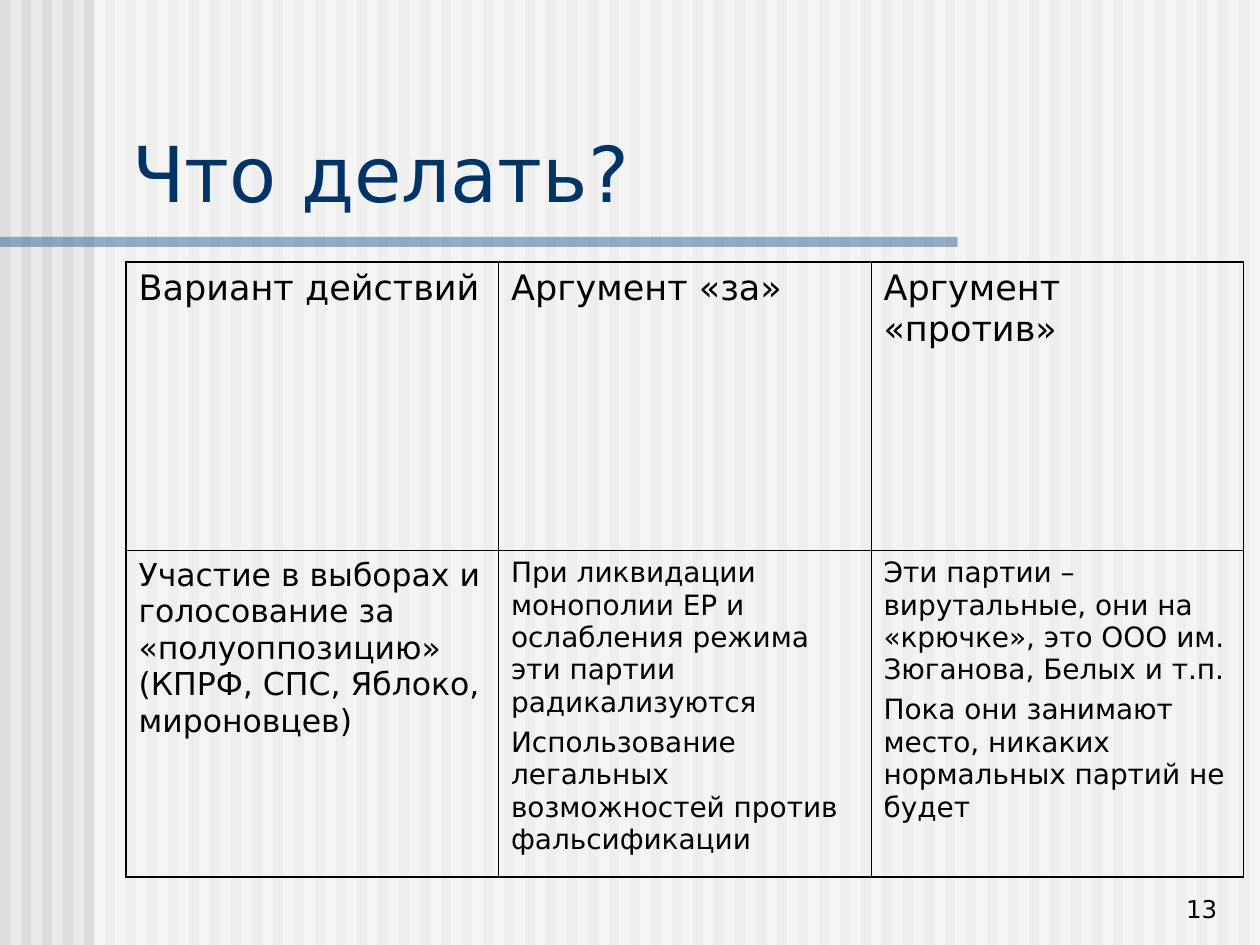
import pptx
import pptx.dml.color
import pptx.enum.shapes
import pptx.enum.text
import pptx.oxml
import pptx.oxml.ns
import pptx.util

Inches = pptx.util.Inches
Pt = pptx.util.Pt
RGBColor = pptx.dml.color.RGBColor
Align = pptx.enum.text.PP_ALIGN
Anchor = pptx.enum.text.MSO_ANCHOR

BACKGROUND = RGBColor(0xEA, 0xEA, 0xEA)
STRIPE = RGBColor(0xDD, 0xDD, 0xDD)
WHITE = RGBColor(0xFF, 0xFF, 0xFF)
BLUE = RGBColor(0x33, 0x66, 0x99)
NAVY = RGBColor(0x00, 0x33, 0x66)
BLACK = RGBColor(0x00, 0x00, 0x00)

STRIPE_COUNT = 60
OUTER_BORDER = 1.08
INNER_BORDER = 0.45

ROWS = [
    [
        (20, ["Вариант действий"]),
        (20, ["Аргумент «за»"]),
        (20, ["Аргумент «против»"]),
    ],
    [
        (18, ["Участие в выборах и голосование за «полуоппозицию» "
              "(КПРФ, СПС, Яблоко, мироновцев)"]),
        (16, ["При ликвидации монополии ЕР и ослабления режима "
              "эти партии радикализуются",
              "Использование легальных возможностей против фальсификации"]),
        (16, ["Эти партии – вирутальные, они на «крючке», это ООО им. "
              "Зюганова, Белых и т.п.",
              "Пока они занимают место, никаких нормальных партий не будет"]),
    ],
]


class SlideBuilder:
    font_name = "DejaVu Sans"
    paragraph_gap = Pt(4.5)

    def __init__(self, slide):
        self.slide = slide

    def background(self, color):
        fill = self.slide.background.fill
        fill.solid()
        fill.fore_color.rgb = color

    def rectangle(self, shapes, left, top, width, height, color, opacity=100):
        shape = shapes.add_shape(
            pptx.enum.shapes.MSO_SHAPE.RECTANGLE,
            Inches(left), Inches(top), Inches(width), Inches(height))
        shape.shadow.inherit = False
        shape.line.fill.background()
        shape.fill.solid()
        shape.fill.fore_color.rgb = color
        if opacity < 100:
            color_element = shape._element.spPr.find(".//" + pptx.oxml.ns.qn("a:srgbClr"))
            color_element.append(pptx.oxml.parse_xml(
                f'<a:alpha {pptx.oxml.ns.nsdecls("a")} val="{opacity * 1000}"/>'))

    def fill_text(self, text_frame, paragraphs, size, color, alignment=Align.LEFT):
        text_frame.word_wrap = True
        text_frame.text = "\n".join(paragraphs)
        for index, paragraph in enumerate(text_frame.paragraphs):
            paragraph.alignment = alignment
            if index:
                paragraph.space_before = self.paragraph_gap
            for run in paragraph.runs:
                run.font.name = self.font_name
                run.font.size = Pt(size)
                run.font.color.rgb = color

    def text(self, left, top, width, height, text, size, color, alignment=Align.LEFT):
        shape = self.slide.shapes.add_textbox(
            Inches(left), Inches(top), Inches(width), Inches(height))
        shape.text_frame.vertical_anchor = Anchor.BOTTOM
        self.fill_text(shape.text_frame, [text], size, color, alignment)

    def borders(self, cell, widths):
        properties = cell._tc.get_or_add_tcPr()
        for index, (side, width) in enumerate(widths.items()):
            properties.insert(index, pptx.oxml.parse_xml(
                f'<a:ln{side} {pptx.oxml.ns.nsdecls("a")} w="{int(Pt(width))}">'
                f'<a:solidFill><a:srgbClr val="{BLACK}"/></a:solidFill></a:ln{side}>'))

    def table(self, left, top, width, row_heights, rows):
        last_row, last_column = len(rows) - 1, len(rows[0]) - 1
        table = self.slide.shapes.add_table(
            len(rows), len(rows[0]), Inches(left), Inches(top),
            Inches(width), Inches(sum(row_heights))).table
        table.first_row = False
        table.horz_banding = False
        for row_index, row in enumerate(rows):
            table.rows[row_index].height = Inches(row_heights[row_index])
            for column_index, (size, paragraphs) in enumerate(row):
                cell = table.cell(row_index, column_index)
                cell.fill.background()
                self.fill_text(cell.text_frame, paragraphs, size, BLACK)
                on_edge = {
                    "L": column_index == 0,
                    "R": column_index == last_column,
                    "T": row_index == 0,
                    "B": row_index == last_row,
                }
                self.borders(cell, {
                    side: OUTER_BORDER if outer else INNER_BORDER
                    for side, outer in on_edge.items()})


def main():
    presentation = pptx.Presentation()
    presentation.slide_width = Inches(10)
    presentation.slide_height = Inches(7.5)
    slide = presentation.slides.add_slide(presentation.slide_layouts[6])
    builder = SlideBuilder(slide)

    builder.background(BACKGROUND)
    backdrop = slide.shapes.add_group_shape().shapes
    for index in range(STRIPE_COUNT):
        builder.rectangle(backdrop, index * 10 / STRIPE_COUNT, 0, 0.08, 7.5, STRIPE)
    builder.rectangle(backdrop, 0.75, 0, 9.25, 7.5, WHITE, opacity=50)
    builder.rectangle(backdrop, 0, 1.88, 7.6, 0.08, BLUE, opacity=50)

    builder.text(0.95, 0.94, 8.93, 0.84, "Что делать?", 44, NAVY)
    builder.table(1, 2.08, 8.87, [2.29, 2.59], ROWS)
    builder.text(7.68, 6.88, 2.08, 0.5, "13", 14, BLACK, Align.RIGHT)

    presentation.save("out.pptx")


if __name__ == "__main__":
    main()
